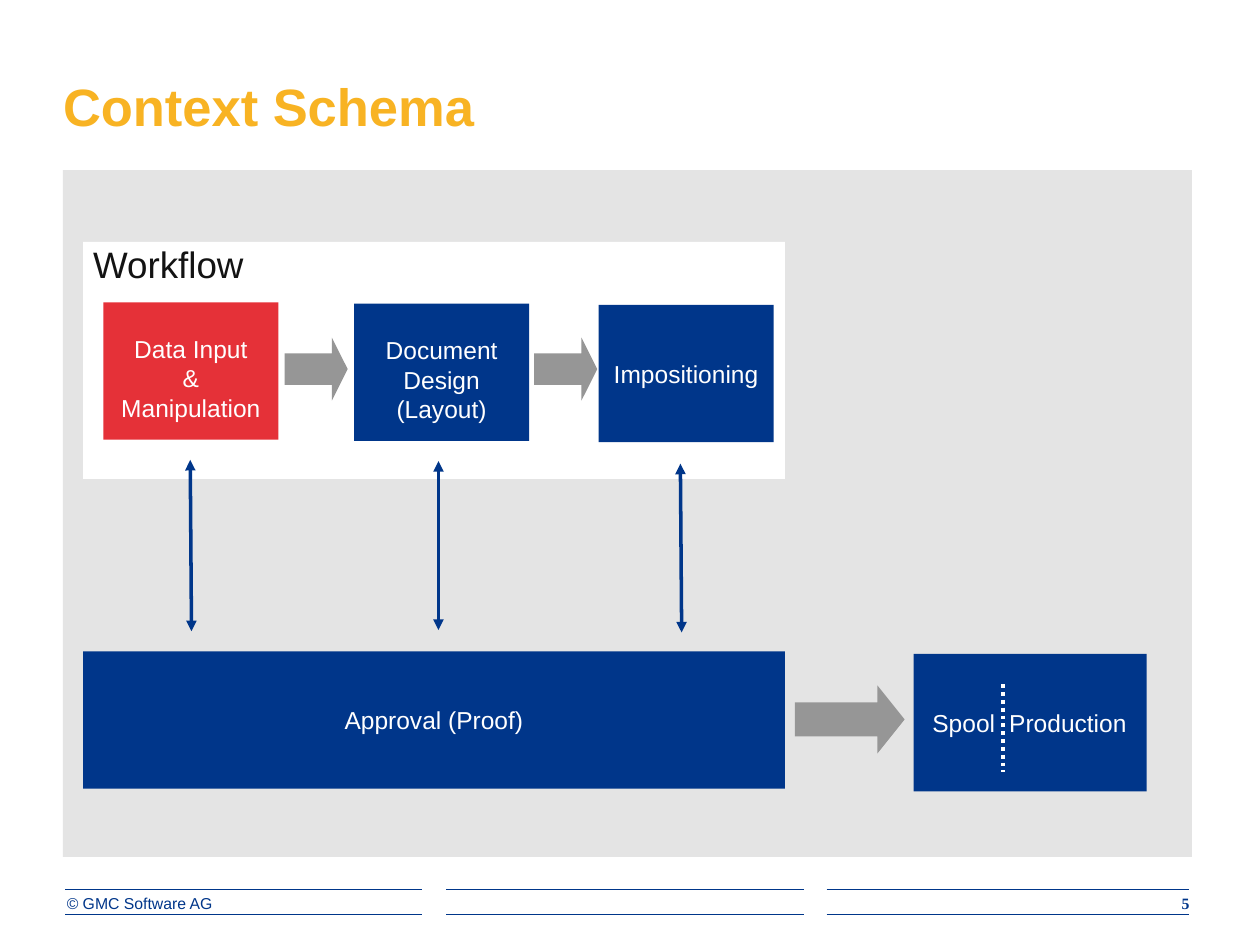
from lxml import etree
from pptx import Presentation
from pptx.dml.color import RGBColor
from pptx.enum.dml import MSO_LINE
from pptx.enum.shapes import MSO_CONNECTOR, MSO_SHAPE
from pptx.enum.text import MSO_ANCHOR, MSO_AUTO_SIZE, PP_ALIGN
from pptx.oxml.ns import qn
from pptx.util import Inches, Pt

RECT, ARROW = MSO_SHAPE.RECTANGLE, MSO_SHAPE.RIGHT_ARROW
STRAIGHT, DOTTED = MSO_CONNECTOR.STRAIGHT, MSO_LINE.ROUND_DOT
LEFT, CENTER, RIGHT = PP_ALIGN.LEFT, PP_ALIGN.CENTER, PP_ALIGN.RIGHT
TOP, MIDDLE, BOTTOM = MSO_ANCHOR.TOP, MSO_ANCHOR.MIDDLE, MSO_ANCHOR.BOTTOM
NO_AUTOFIT = MSO_AUTO_SIZE.NONE

COLORS = {
    "blue": "00368A",
    "red": "E53138",
    "gold": "F8B323",
    "panel": "E4E4E4",
    "arrow": "969696",
    "ink": "131313",
    "white": "FFFFFF",
}


def color(name):
    return RGBColor.from_string(COLORS[name])


def write(shape, text, size, ink, align=LEFT, anchor=TOP,
          insets=(0, 0, 0, 0), bold=False, font="Arial", wrap=True):
    """Fill a shape with text; insets are left, top, right, bottom in inches."""
    frame = shape.text_frame
    frame.text = text
    frame.auto_size = NO_AUTOFIT
    frame.word_wrap = wrap
    frame.vertical_anchor = anchor
    (frame.margin_left, frame.margin_top,
     frame.margin_right, frame.margin_bottom) = map(Inches, insets)
    for para in frame.paragraphs:
        para.alignment = align
        for span in para.runs:
            span.font.name = font
            span.font.size = Pt(size)
            span.font.bold = bold
            span.font.color.rgb = color(ink)


def add_block(page, box, fill, kind=RECT):
    shape = page.shapes.add_shape(kind, *map(Inches, box))
    shape.shadow.inherit = False
    shape.fill.solid()
    shape.fill.fore_color.rgb = color(fill)
    shape.line.fill.background()
    return shape


def add_step(page, box, text, fill="blue", top_inset=0.05):
    write(add_block(page, box, fill), text, 14, "white", CENTER, MIDDLE,
          (0.1, top_inset, 0.1, 0.05), wrap=False)


def add_arrow(page, box, head):
    add_block(page, box, "arrow", ARROW).adjustments[1] = head


def add_line(page, start, end, ink, width, dash=None, heads=False):
    line = page.shapes.add_connector(STRAIGHT, *map(Inches, start + end))
    line.line.color.rgb = color(ink)
    line.line.width = Pt(width)
    if dash:
        line.line.dash_style = dash
    properties = line._element.spPr
    if heads:
        stroke = properties.find(qn("a:ln"))
        for tag in ("a:headEnd", "a:tailEnd"):
            etree.SubElement(stroke, qn(tag), type="triangle")
    etree.SubElement(properties, qn("a:effectLst"))


def add_title(page, box):
    title = page.shapes.title
    title.left, title.top, title.width, title.height = map(Inches, box)
    write(title, "Context Schema", 30, "gold", anchor=BOTTOM, bold=True)


def add_workflow(page, box):
    left, top, _, _ = box
    write(add_block(page, box, "white"), "Workflow", 21, "ink",
          insets=(0.08, 0, 0, 0))
    # Steps; the deeper top inset sets three-line labels a little low
    steps = [
        (0.16, 0.48, "Data Input\n&\nManipulation", "red", 0.16),
        (2.15, 0.49, "Document\nDesign\n(Layout)", "blue", 0.16),
        (4.09, 0.50, "Impositioning", "blue", 0.05),
    ]
    for x, y, text, fill, inset in steps:
        add_step(page, (left + x, top + y, 1.39, 1.09), text, fill, inset)
    for x in (1.6, 3.58):
        add_arrow(page, (left + x, top + 0.76, 0.5, 0.5), 0.25)


def add_approval_links(page):
    for start, end in [((1.52, 5.01), (1.51, 3.65)),
                       ((3.48, 5.0), (3.48, 3.66)),
                       ((5.41, 5.02), (5.4, 3.68))]:
        add_line(page, start, end, "blue", 2, heads=True)


def add_output(page, box):
    left, top, _, _ = box
    block = add_block(page, box, "blue")
    write(block, "Spool\tProduction", 14, "white", LEFT, MIDDLE,
          (0.15, 0.05, 0.05, 0.05))
    # A tab stop sets the second word to the right of the divider
    properties = block.text_frame.paragraphs[0]._p.get_or_add_pPr()
    tabs = etree.SubElement(properties, qn("a:tabLst"))
    etree.SubElement(tabs, qn("a:tab"), pos=str(Inches(0.61)), algn="l")
    divider = left + 0.71
    add_line(page, (divider, top + 0.24), (divider, top + 0.94),
             "white", 2.25, DOTTED)


def add_footer(page, box):
    left, top, width, height = box
    right = left + width
    # Three columns, each ruled above and below
    for start, end in [(left, 3.35), (3.54, 6.38), (6.56, right)]:
        for y in (top, top + height):
            add_line(page, (start, y), (end, y), "blue", 0.5)
    owner = page.shapes.add_textbox(
        *map(Inches, (left + 0.01, top + 0.03, 2.81, 0.2)))
    write(owner, "© GMC Software AG", 9, "blue")
    number = page.shapes.add_textbox(
        *map(Inches, (right - 0.78, top + 0.03, 0.78, 0.19)))
    write(number, "5", 9, "blue", RIGHT, bold=True, font="Times New Roman")


def main():
    deck = Presentation()
    deck.slide_width, deck.slide_height = Inches(10), Inches(7.5)
    page = deck.slides.add_slide(deck.slide_layouts[5])

    add_footer(page, (0.52, 7.06, 8.92, 0.2))
    add_block(page, (0.5, 1.35, 8.96, 5.45), "panel")
    add_title(page, (0.5, 0.41, 6.82, 0.68))
    add_workflow(page, (0.66, 1.92, 5.57, 1.88))
    # Approval and the way to output
    add_step(page, (0.66, 5.17, 5.57, 1.09), "Approval (Proof)")
    add_approval_links(page)
    add_arrow(page, (6.31, 5.44, 0.87, 0.54), 0.4)
    add_output(page, (7.25, 5.19, 1.85, 1.09))

    deck.save("out.pptx")


if __name__ == "__main__":
    main()
